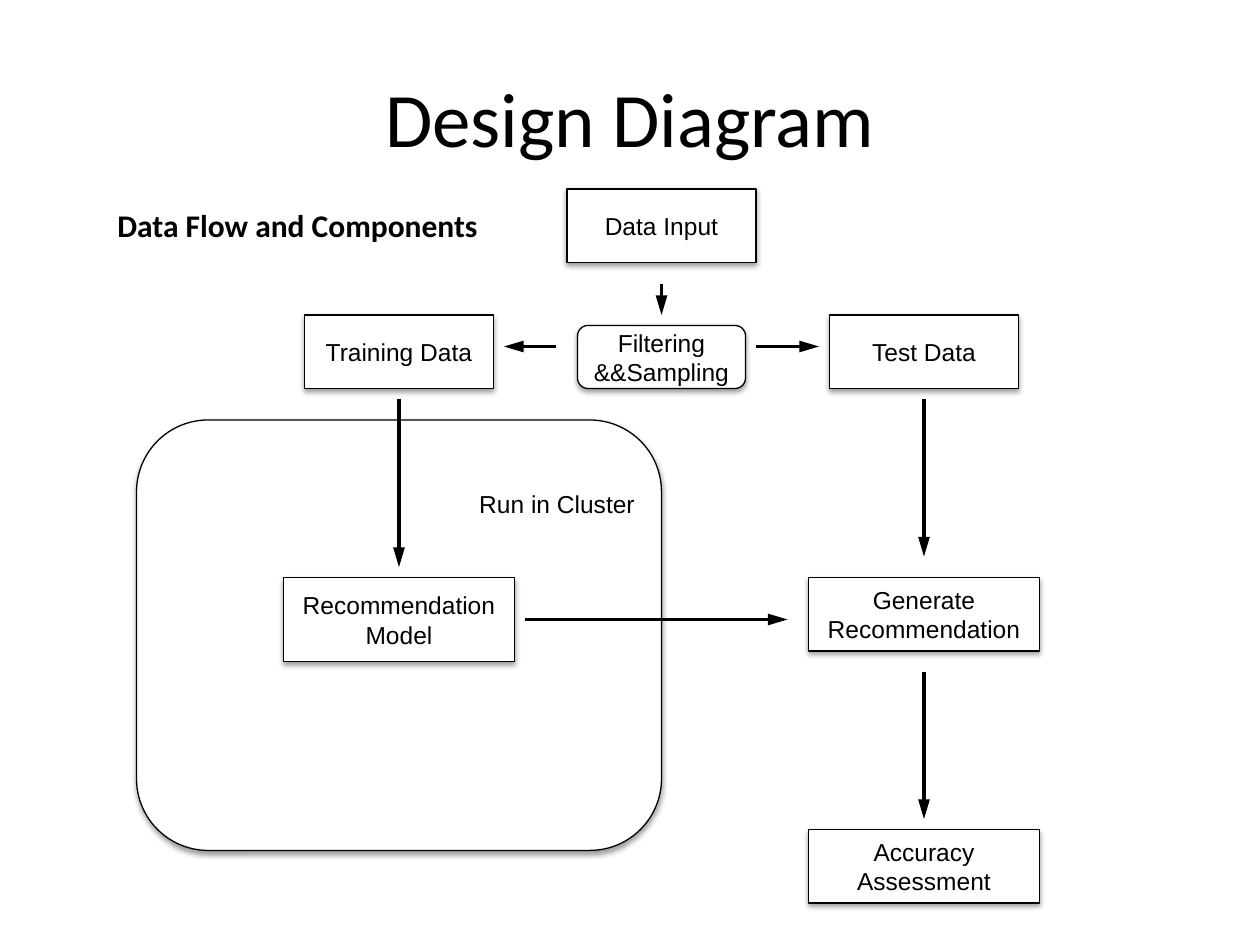
from dataclasses import dataclass

from lxml import etree
from pptx import Presentation
from pptx.dml.color import RGBColor
from pptx.enum.shapes import MSO_CONNECTOR, MSO_SHAPE
from pptx.enum.text import MSO_ANCHOR, MSO_AUTO_SIZE, PP_ALIGN
from pptx.oxml.ns import qn
from pptx.util import Emu, Pt

EMU_PER_PX = 9525
RECT = MSO_SHAPE.RECTANGLE
ROUNDED = MSO_SHAPE.ROUNDED_RECTANGLE
STRAIGHT = MSO_CONNECTOR.STRAIGHT
MIDDLE = MSO_ANCHOR.MIDDLE
FIT_TEXT = MSO_AUTO_SIZE.SHAPE_TO_FIT_TEXT
LEFT, CENTER = PP_ALIGN.LEFT, PP_ALIGN.CENTER


@dataclass(frozen=True)
class Type:
    """A typeface, its size in points and its weight."""
    font: str
    size: int
    bold: bool = False


@dataclass(frozen=True)
class Theme:
    """Colours, type and line widths of the slide."""
    ink: RGBColor = RGBColor(0, 0, 0)
    paper: RGBColor = RGBColor(255, 255, 255)
    title: Type = Type("Calibri", 44)
    heading: Type = Type("Calibri", 18, True)
    label: Type = Type("Arial", 14)
    outline: float = 0.75
    arrow: float = 2.25


@dataclass(frozen=True)
class Node:
    """A box of the flow, in px."""
    text: str
    left: int
    top: int
    width: int
    height: int
    kind: MSO_SHAPE = RECT


@dataclass(frozen=True)
class Arrow:
    """A straight arrow from one point to another, in px."""
    start_x: int
    start_y: int
    end_x: int
    end_y: int


@dataclass(frozen=True)
class Caption:
    """A free line of text, in px."""
    text: str
    left: int
    top: int
    width: int
    height: int
    style: Type
    align: PP_ALIGN


THEME = Theme()
MODEL_X, FILTER_X, TEST_X = 304, 504, 704
SPLIT_Y, MODEL_Y = 264, 472
DATA_W, STEP_W, NODE_H = 144, 176, 56


def centred(text: str, middle: int, top: int, width: int,
            height: int = NODE_H, kind: MSO_SHAPE = RECT) -> Node:
    """Return a node centred on a column."""
    return Node(text, middle - width // 2, top, width, height, kind)


NODES = (
    Node("", 104, 320, 400, 328, ROUNDED),
    centred("Data Input", FILTER_X, 144, DATA_W),
    centred("Filtering &&Sampling", FILTER_X, 248, 128, 48, ROUNDED),
    centred("Training Data", MODEL_X, 240, DATA_W),
    centred("Test Data", TEST_X, 240, DATA_W),
    centred("Recommendation Model", MODEL_X, 440, STEP_W, 64),
    centred("Generate Recommendation", TEST_X, 440, STEP_W),
    centred("Accuracy Assessment", TEST_X, 632, STEP_W),
)
ARROWS = (
    Arrow(FILTER_X, 216, FILTER_X, 240),
    Arrow(576, SPLIT_Y, 624, SPLIT_Y),
    Arrow(424, SPLIT_Y, 384, SPLIT_Y),
    Arrow(MODEL_X, 304, MODEL_X, 432),
    Arrow(TEST_X, 304, TEST_X, 424),
    Arrow(400, MODEL_Y, 600, MODEL_Y),
    Arrow(TEST_X, 512, TEST_X, 624),
)
CAPTIONS = (
    Caption("Run in Cluster", 352, 368, 145, 33, THEME.label, CENTER),
    Caption("Data Flow and Components", 80, 152, 297, 38, THEME.heading, LEFT),
)


def px(*lengths: int) -> list[Emu]:
    """Turn px into EMU."""
    return [Emu(length * EMU_PER_PX) for length in lengths]


def write(frame, text: str, style: Type, align: PP_ALIGN) -> None:
    """Write one styled run into a text frame."""
    para = frame.paragraphs[0]
    para.alignment = align
    span = para.add_run()
    span.text = text
    span.font.name = style.font
    span.font.size = Pt(style.size)
    span.font.bold = style.bold
    span.font.color.rgb = THEME.ink


def add_shadow(shape) -> None:
    """Give a shape a soft shadow straight below it."""
    shape.shadow.inherit = False
    effects = shape._element.spPr.find(qn("a:effectLst"))
    shadow = etree.SubElement(effects, qn("a:outerShdw"), blurRad="40000",
                              dist="20000", dir="5400000", rotWithShape="0")
    color = etree.SubElement(shadow, qn("a:srgbClr"), val=str(THEME.ink))
    etree.SubElement(color, qn("a:alpha"), val="38000")


def add_node(page, node: Node) -> None:
    """Draw a box with its label."""
    box = page.shapes.add_shape(
        node.kind, *px(node.left, node.top, node.width, node.height))
    box.fill.solid()
    box.fill.fore_color.rgb = THEME.paper
    box.line.color.rgb = THEME.ink
    box.line.width = Pt(THEME.outline)
    add_shadow(box)
    if node.text:
        box.text_frame.word_wrap = True
        box.text_frame.vertical_anchor = MIDDLE
        write(box.text_frame, node.text, THEME.label, CENTER)


def add_arrow(page, arrow: Arrow) -> None:
    """Draw a line with a long arrowhead at its end."""
    line = page.shapes.add_connector(
        STRAIGHT, *px(arrow.start_x, arrow.start_y, arrow.end_x, arrow.end_y))
    line.line.color.rgb = THEME.ink
    line.line.width = Pt(THEME.arrow)
    etree.SubElement(line.line._get_or_add_ln(), qn("a:tailEnd"),
                     type="triangle", w="med", len="lg")
    etree.SubElement(line._element.spPr, qn("a:effectLst"))


def add_caption(page, caption: Caption) -> None:
    """Draw a line of text that does not wrap."""
    box = page.shapes.add_textbox(
        *px(caption.left, caption.top, caption.width, caption.height))
    box.text_frame.word_wrap = False
    box.text_frame.auto_size = FIT_TEXT
    write(box.text_frame, caption.text, caption.style, caption.align)


def main() -> None:
    """Build the slide and save it."""
    deck = Presentation()
    deck.slide_width, deck.slide_height = px(960, 720)
    page = deck.slides.add_slide(deck.slide_layouts[5])
    title = page.shapes.title
    title.left, title.top, title.width, title.height = px(48, 29, 864, 120)
    title.text_frame.vertical_anchor = MIDDLE
    write(title.text_frame, "Design Diagram", THEME.title, CENTER)
    for node in NODES:
        add_node(page, node)
    for arrow in ARROWS:
        add_arrow(page, arrow)
    for caption in CAPTIONS:
        add_caption(page, caption)
    deck.save("out.pptx")


if __name__ == "__main__":
    main()
